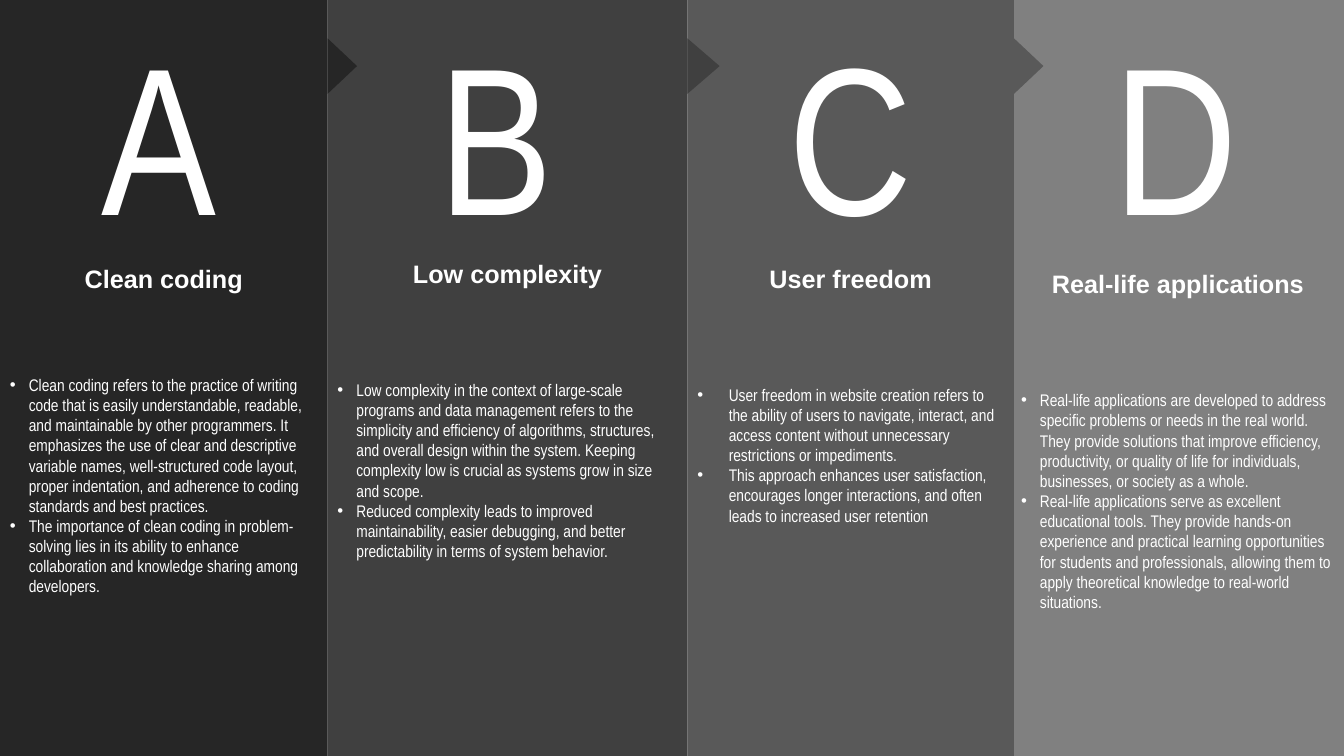
from lxml import etree
from pptx import Presentation
from pptx.dml.color import RGBColor
from pptx.enum import shapes, text
from pptx.oxml import ns
from pptx.util import Pt

WHITE = RGBColor(255, 255, 255)
BLACK = RGBColor(0x26, 0x26, 0x26)
DARK = RGBColor(0x40, 0x40, 0x40)
MID = RGBColor(0x59, 0x59, 0x59)
LIGHT = RGBColor(0x80, 0x80, 0x80)
HIGH = 540

# letter, heading, bullets, fill, left, width, letter left,
# heading top, gap under heading, bullet indent, arrow depth
PANELS = [
    ("A", "Clean coding", [
        "Clean coding refers to the practice of writing code that is easily "
        "understandable, readable, and maintainable by other programmers. It "
        "emphasizes the use of clear and descriptive variable names, "
        "well-structured code layout, proper indentation, and adherence to "
        "coding standards and best practices.",
        "The importance of clean coding in problem-solving lies in its ability "
        "to enhance collaboration and knowledge sharing among developers."],
     BLACK, 0, 234, 65.5, 188, 58, 13.5, 21),
    ("B", "Low complexity", [
        "Low complexity in the context of large-scale programs and data "
        "management refers to the simplicity and efficiency of algorithms, "
        "structures, and overall design within the system. Keeping complexity "
        "low is crucial as systems grow in size and scope.",
        "Reduced complexity leads to improved maintainability, easier "
        "debugging, and better predictability in terms of system behavior."],
     DARK, 234, 257, 306, 184.5, 65, 13.5, 23),
    ("C", "User freedom", [
        "User freedom in website creation refers to the ability of users to "
        "navigate, interact, and access content without unnecessary "
        "restrictions or impediments.",
        "This approach enhances user satisfaction, encourages longer "
        "interactions, and often leads to increased user retention"],
     MID, 491, 233.3, 556.5, 188, 65, 22.5, 21),
    ("D", "Real-life applications", [
        "Real-life applications are developed to address specific problems or "
        "needs in the real world. They provide solutions that improve "
        "efficiency, productivity, or quality of life for individuals, "
        "businesses, or society as a whole.",
        "Real-life applications serve as excellent educational tools. They "
        "provide hands-on experience and practical learning opportunities for "
        "students and professionals, allowing them to apply theoretical "
        "knowledge to real-world situations."],
     LIGHT, 722.2, 238.3, 788.5, 192, 65, 13.5, 0),
]


def add_block(slide, kind, left, top, width, height, fill):
    block = slide.shapes.add_shape(kind, Pt(left), Pt(top), Pt(width), Pt(height))
    block.shadow.inherit = False
    block.fill.solid()
    block.fill.fore_color.rgb = fill
    block.line.fill.background()
    return block


def set_font(para, name, size, bold=False):
    font = para.font
    font.name, font.size, font.bold = name, Pt(size), bold
    font.color.rgb = WHITE


def add_bullet(para, indent):
    props = para._p.get_or_add_pPr()
    props.set("marL", str(Pt(indent)))
    props.set("indent", str(-Pt(indent)))
    mark = etree.Element(ns.qn("a:buChar"), char="•")
    font = etree.Element(ns.qn("a:buFont"), typeface="Arial")
    # Bullet marks come before the default run properties.
    props.find(ns.qn("a:defRPr")).addprevious(font)
    font.addnext(mark)


def add_panel(slide, title, points, fill, left, width, top, gap, indent):
    panel = add_block(slide, shapes.MSO_SHAPE.RECTANGLE, left, 0, width, HIGH, fill)
    frame = panel.text_frame
    frame.word_wrap = True
    frame.vertical_anchor = text.MSO_ANCHOR.TOP
    frame.margin_top = Pt(top)
    head = frame.paragraphs[0]
    head.text = title
    head.alignment = text.PP_ALIGN.CENTER
    head.space_after = Pt(gap)
    set_font(head, "Arial", 18, True)
    for point in points:
        para = frame.add_paragraph()
        para.text = point
        para.alignment = text.PP_ALIGN.LEFT
        set_font(para, "Arial Narrow", 12)
        add_bullet(para, indent)


def add_arrow(slide, edge, depth, fill):
    """Point a triangle to the right from the panel's edge."""
    base, mid = 39.6, 47.2
    arrow = add_block(slide, shapes.MSO_SHAPE.ISOSCELES_TRIANGLE,
                      edge + (depth - base) / 2, mid - depth / 2, base, depth, fill)
    arrow.rotation = 90


def add_letter(slide, letter, left):
    box = slide.shapes.add_textbox(Pt(left), Pt(4), Pt(108), Pt(181))
    frame = box.text_frame
    frame.word_wrap = True
    frame.margin_top = frame.margin_bottom = 0
    para = frame.paragraphs[0]
    para.text = letter
    set_font(para, "Arial Narrow", 150)


def main():
    deck = Presentation()
    deck.slide_width, deck.slide_height = Pt(960), Pt(HIGH)
    slide = deck.slides.add_slide(deck.slide_layouts[6])
    # Each arrow overlaps the panel to its right, so draw from right to left.
    for (letter, title, points, fill, left, width, spot,
         top, gap, indent, depth) in reversed(PANELS):
        add_panel(slide, title, points, fill, left, width, top, gap, indent)
        if depth:
            add_arrow(slide, left + width, depth, fill)
        add_letter(slide, letter, spot)
    deck.save("out.pptx")


if __name__ == "__main__":
    main()
